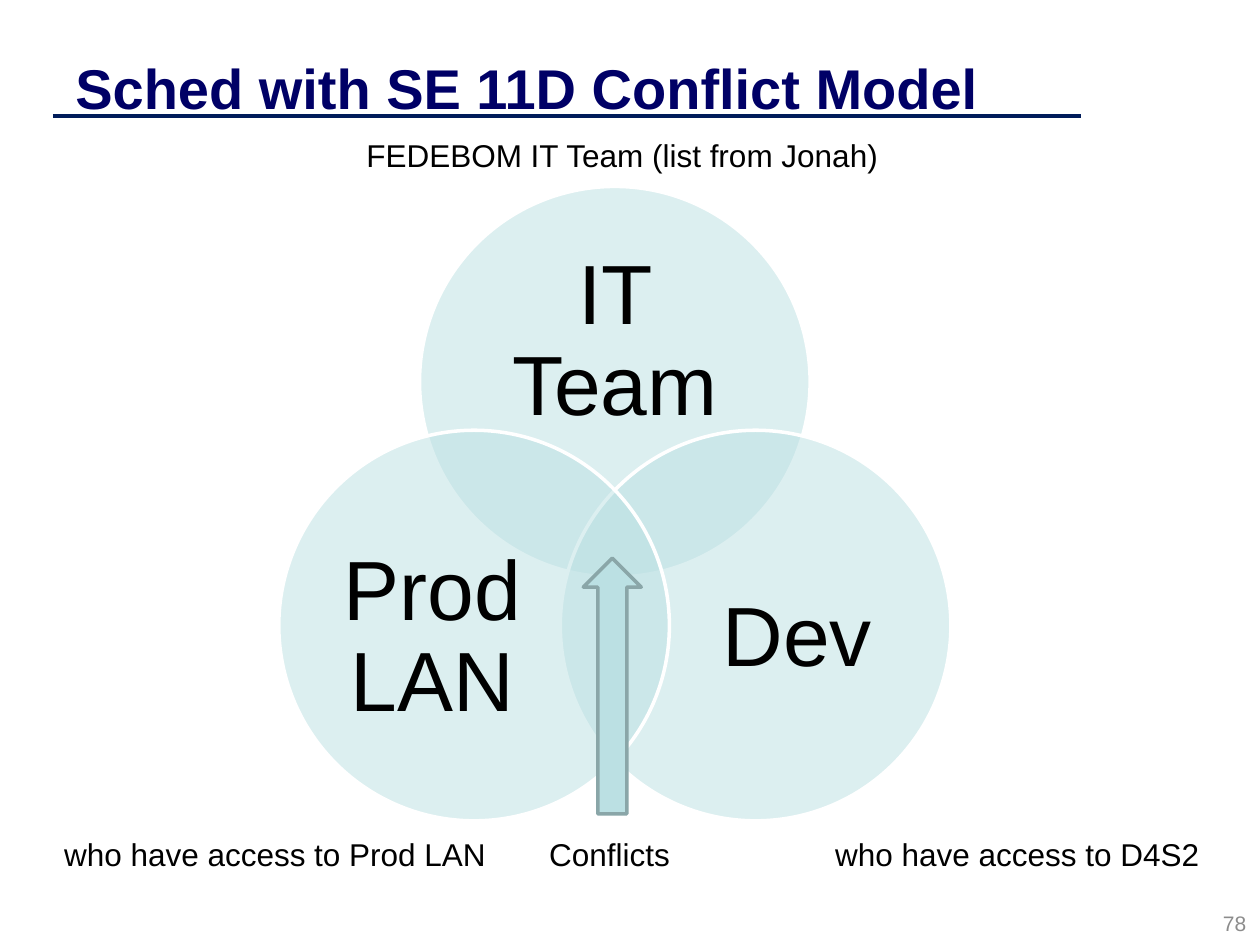
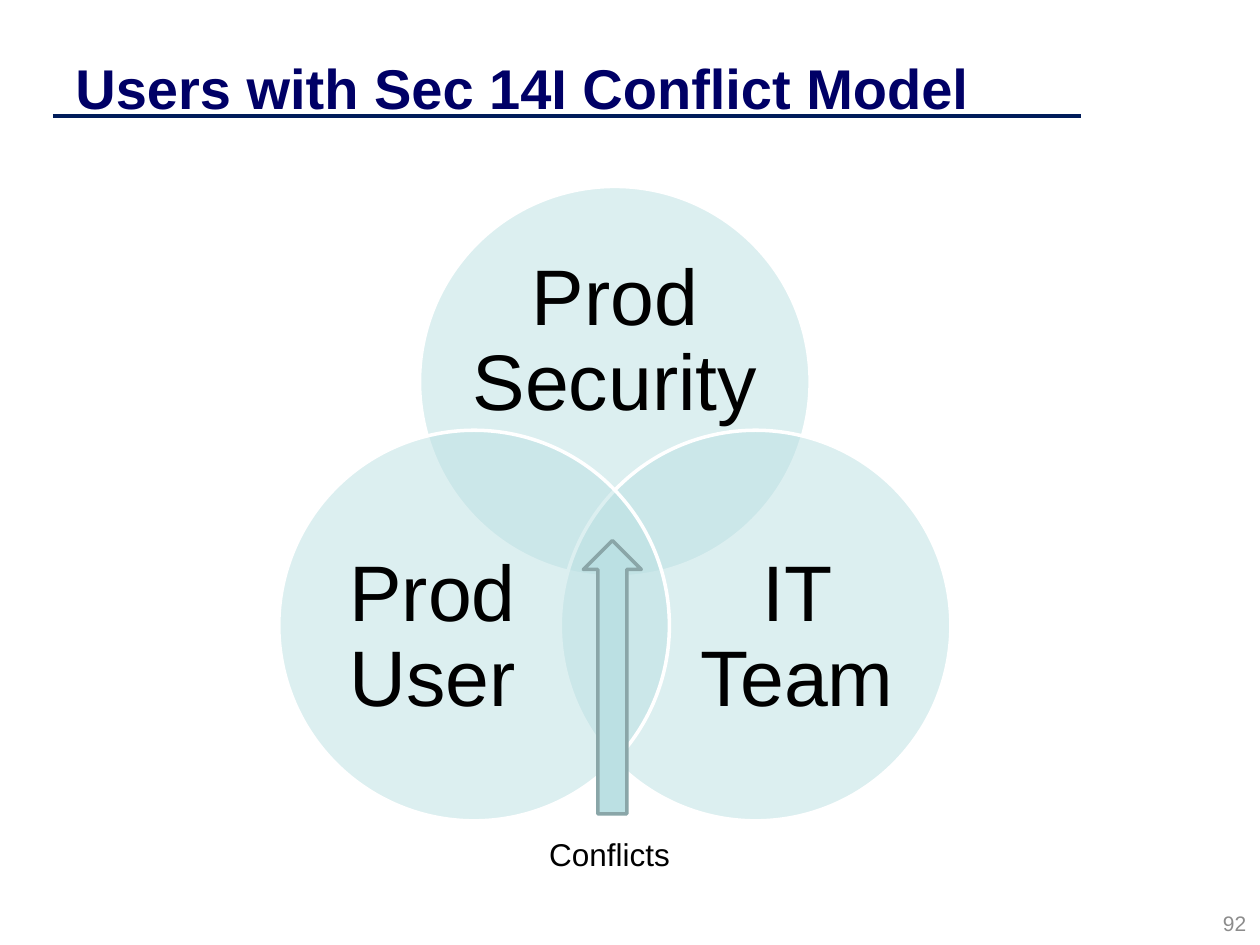
from dataclasses import dataclass
from math import cos, radians, sin

from lxml.etree import SubElement
from pptx import Presentation
from pptx.dml.color import RGBColor
from pptx.enum.shapes import MSO_CONNECTOR, MSO_SHAPE
from pptx.enum.text import MSO_ANCHOR, PP_ALIGN
from pptx.oxml.ns import qn
from pptx.util import Inches, Pt


@dataclass(frozen=True)
class Theme:
    font: str = "Arial"
    title: str = "000066"
    rule: str = "001C5A"
    text: str = "000000"
    page: str = "8C8C8C"
    aqua: str = "BBE0E3"
    ring: str = "FFFFFF"
    arrow_edge: str = "8AA6A8"
    title_size: int = 32
    label_size: int = 18
    page_size: int = 12
    line_width: int = 2


THEME = Theme()

# Grid of square cells that covers the slide
COLS, ROWS = 100, 75
SLIDE_W, SLIDE_H = Inches(10), Inches(7.5)

# Venn geometry in cells: three circles evenly spread around one centre
CENTRE_X, CENTRE_Y = 48.8, 43.2
SPREAD, DIAMETER = 12.9, 31
# angle, text shift from the circle's centre (x, y), text width and height
VENN_SPOTS = [
    (-90, 0, -3.1, 22.7, 14),
    (30, 3.3, 1.05, 18.6, 17.1),
    (150, -3.3, 1.05, 18.6, 17.1),
]
ARROW_BASE = 64.6
LABEL_ROW, LABEL_HEIGHT = 65.8, 4


def grid(*cells):
    """Turn alternating columns and rows into slide lengths."""
    units = (SLIDE_W / COLS, SLIDE_H / ROWS)
    return [round(n * units[i % 2]) for i, n in enumerate(cells)]


def set_all(target, values):
    for name, value in values.items():
        setattr(target, name, value)


def add_text(slide, cells, text, size, color=THEME.text, bold=False,
             anchor=MSO_ANCHOR.MIDDLE, inset=None, **paragraph):
    tf = slide.shapes.add_textbox(*grid(*cells)).text_frame
    set_all(tf, {"word_wrap": True, "vertical_anchor": anchor})
    if inset is not None:
        set_all(tf, {f"margin_{side}": inset
                     for side in ("left", "top", "right", "bottom")})
    p = tf.paragraphs[0]
    set_all(p, paragraph)
    r = p.add_run()
    r.text = text
    set_all(r.font, {"name": THEME.font, "size": Pt(size), "bold": bold})
    r.font.color.rgb = RGBColor.from_string(color)


def set_line(line, color):
    line.color.rgb = RGBColor.from_string(color)
    line.width = Pt(THEME.line_width)


def add_figure(slide, kind, cells, edge, opacity=100):
    sp = slide.shapes.add_shape(kind, *grid(*cells))
    sp.shadow.inherit = False
    sp.fill.solid()
    sp.fill.fore_color.rgb = RGBColor.from_string(THEME.aqua)
    if opacity < 100:
        color = sp.fill._xPr.find(qn("a:solidFill"))[0]
        SubElement(color, qn("a:alpha"), val=str(opacity * 1000))
    set_line(sp.line, edge)


def add_frame(slide, title, page):
    """Title rule, title and page number."""
    rule = slide.shapes.add_connector(MSO_CONNECTOR.STRAIGHT,
                                      *grid(4.2, 9.2, 85.8, 9.2))
    set_line(rule.line, THEME.rule)
    SubElement(rule._element.spPr, qn("a:effectLst"))
    add_text(slide, (5, 3, 80, 7.8), title, THEME.title_size, THEME.title, True)
    add_text(slide, (76.6, 71.6, 23.3, 3.4), str(page), THEME.page_size,
             THEME.page, alignment=PP_ALIGN.RIGHT)


def add_venn(slide, names, size):
    for name, (angle, dx, dy, w, h) in zip(names, VENN_SPOTS):
        x = CENTRE_X + SPREAD * cos(radians(angle))
        y = CENTRE_Y + SPREAD * sin(radians(angle))
        add_figure(slide, MSO_SHAPE.OVAL,
                   (x - DIAMETER / 2, y - DIAMETER / 2, DIAMETER, DIAMETER),
                   THEME.ring, opacity=50)
        add_text(slide, (x + dx - w / 2, y + dy - h / 2, w, h), name, size,
                 inset=0, alignment=PP_ALIGN.CENTER, line_spacing=0.9)


def add_label(slide, text, col, width, row=LABEL_ROW):
    add_text(slide, (col, row, width, LABEL_HEIGHT), text, THEME.label_size,
             anchor=MSO_ANCHOR.TOP)


def add_conflict_arrow(slide, tip):
    add_figure(slide, MSO_SHAPE.UP_ARROW, (46.3, tip, 4.6, ARROW_BASE - tip),
               THEME.arrow_edge)
    add_label(slide, "Conflicts", 42.6, 12.5)


def add_model(prs, title, page, names, size, arrow_tip):
    slide = prs.slides.add_slide(prs.slide_layouts[6])
    add_frame(slide, title, page)
    add_venn(slide, names, size)
    add_conflict_arrow(slide, arrow_tip)
    return slide


def main():
    prs = Presentation()
    set_all(prs, {"slide_width": SLIDE_W, "slide_height": SLIDE_H})

    # Schedule conflicts, with a note beside each circle
    s = add_model(prs, "Sched with SE 11D Conflict Model", 78,
                  ("IT Team", "Dev", "Prod LAN"), 48, 44.3)
    add_label(s, "who have access to D4S2", 65.3, 34)
    add_label(s, "who have access to Prod LAN", 4.1, 38.5)
    add_label(s, "FEDEBOM IT Team (list from Jonah)", 28.1, 44, row=10.3)

    # User conflicts
    add_model(prs, "Users with Sec 14I Conflict Model", 92,
              ("Prod Security", "IT Team", "Prod User"), 45, 42.9)

    prs.save("out.pptx")


if __name__ == "__main__":
    main()
